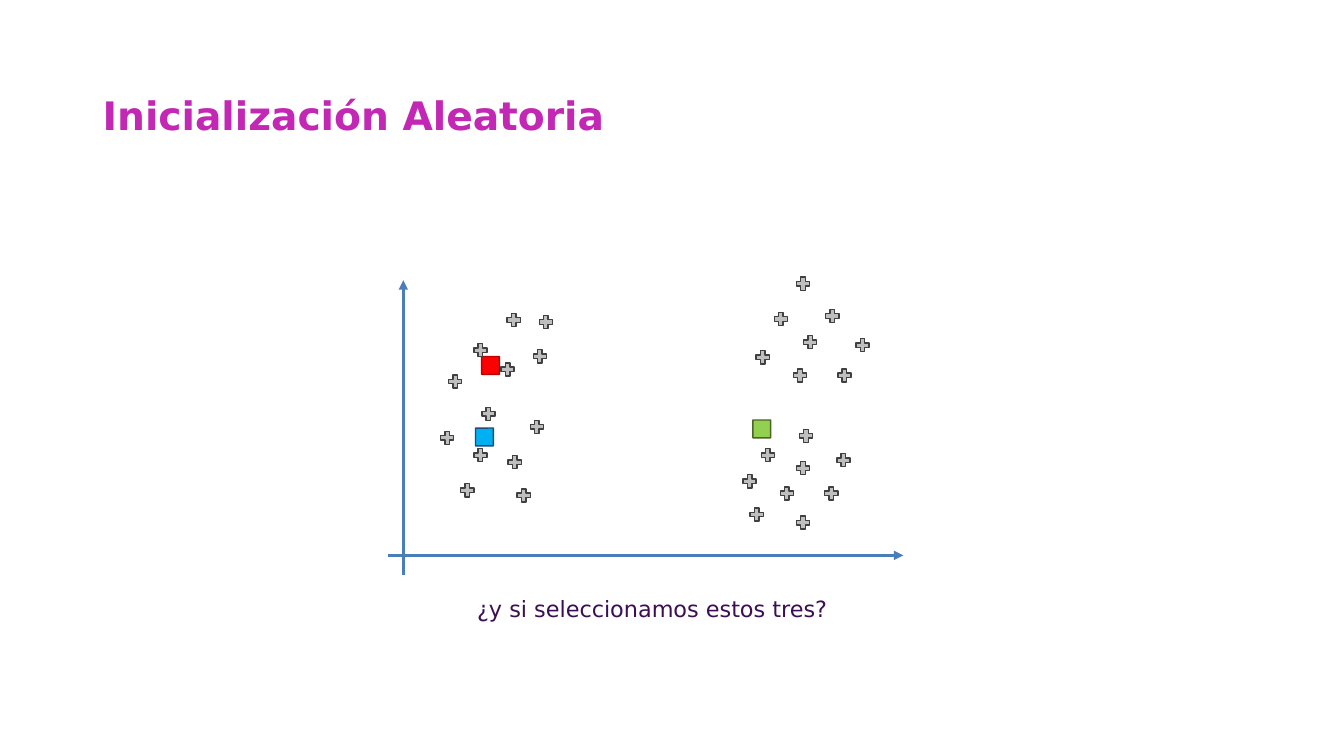
from dataclasses import dataclass

from pptx import Presentation
from pptx.dml.color import RGBColor
from pptx.enum.shapes import MSO_CONNECTOR, MSO_SHAPE
from pptx.enum.text import MSO_ANCHOR, MSO_AUTO_SIZE, PP_ALIGN
from pptx.oxml.ns import qn
from pptx.shapes.autoshape import Shape
from pptx.slide import Slide
from pptx.util import Inches, Pt
from lxml import etree

CROSS, DIAMOND = MSO_SHAPE.CROSS, MSO_SHAPE.DIAMOND
STRAIGHT = MSO_CONNECTOR.STRAIGHT
TOP, MIDDLE = MSO_ANCHOR.TOP, MSO_ANCHOR.MIDDLE
LEFT, CENTER = PP_ALIGN.LEFT, PP_ALIGN.CENTER
FIT, FIXED = MSO_AUTO_SIZE.SHAPE_TO_FIT_TEXT, MSO_AUTO_SIZE.NONE


@dataclass(frozen=True)
class Theme:
    font: str = "DejaVu Sans"
    title: str = "C228B4"
    note: str = "3C0F53"
    axis: str = "4A7EBB"
    point: str = "BFBFBF"
    edge: str = "404040"
    title_size: float = 28
    note_size: float = 16
    axis_width: float = 2.25
    edge_width: float = 1


@dataclass(frozen=True)
class Seed:
    x: float
    y: float
    fill: str
    line: str


@dataclass(frozen=True)
class Axis:
    x1: float
    y1: float
    x2: float
    y2: float


THEME = Theme()
POINT, SEED = 0.13, 0.25  # marker sizes

AXES = [Axis(4, 5.7, 4, 2.78), Axis(3.85, 5.51, 8.96, 5.51)]

# Starting centroids
BLUE = Seed(4.68, 4.21, "00B0F0", "1F497D")
RED = Seed(4.74, 3.5, "FF0000", "C00000")
GREEN = Seed(7.43, 4.13, "92D050", "4F6228")

# Left and top of every data point, by group
LOWER_LEFT = [(5.26, 4.17), (4.7, 4.45), (5.13, 4.85), (4.57, 4.8),
              (4.37, 4.28), (4.78, 4.04), (5.04, 4.52)]
UPPER_LEFT = [(4.45, 3.72), (4.97, 3.6), (4.7, 3.41), (5.29, 3.47),
              (5.35, 3.13), (5.03, 3.11)]
UPPER_RIGHT = [(7.9, 2.75), (8.19, 3.07), (7.68, 3.1), (7.97, 3.33),
               (8.49, 3.36), (7.87, 3.66), (8.31, 3.66), (7.5, 3.48)]
LOWER_RIGHT = [(7.37, 4.71), (7.55, 4.45), (7.74, 4.83), (7.44, 5.04),
               (7.9, 5.12), (8.18, 4.83), (7.9, 4.58), (8.3, 4.5),
               (7.93, 4.26)]


def add_text(slide: Slide, text: str, x: float, y: float, w: float, h: float,
             *, size: float, color: str, bold: bool = False, align=LEFT,
             anchor=TOP, pad: float = 0.05, space: float = 1.0,
             fit=FIXED) -> None:
    box = slide.shapes.add_textbox(Inches(x), Inches(y), Inches(w), Inches(h))
    frame = box.text_frame
    frame.word_wrap = True
    frame.auto_size = fit
    frame.vertical_anchor = anchor
    frame.margin_left = frame.margin_right = Inches(pad)
    frame.margin_top = frame.margin_bottom = Inches(0.05)
    para = frame.paragraphs[0]
    para.text = text
    para.alignment = align
    para.line_spacing = space
    para.font.name = THEME.font
    para.font.size = Pt(size)
    para.font.bold = bold
    para.font.color.rgb = RGBColor.from_string(color)


def add_mark(slide: Slide, kind: MSO_SHAPE, x: float, y: float, size: float,
             fill: str, line: str) -> Shape:
    mark = slide.shapes.add_shape(kind, Inches(x), Inches(y),
                                  Inches(size), Inches(size))
    mark.shadow.inherit = False
    mark.fill.solid()
    mark.fill.fore_color.rgb = RGBColor.from_string(fill)
    mark.line.color.rgb = RGBColor.from_string(line)
    mark.line.width = Pt(THEME.edge_width)
    return mark


def add_seed(slide: Slide, seed: Seed) -> None:
    mark = add_mark(slide, DIAMOND, seed.x, seed.y, SEED, seed.fill, seed.line)
    mark.rotation = 315


def add_point(slide: Slide, x: float, y: float) -> None:
    mark = add_mark(slide, CROSS, x, y, POINT, THEME.point, THEME.edge)
    mark.adjustments[0] = 0.33


def add_axis(slide: Slide, axis: Axis) -> None:
    line = slide.shapes.add_connector(
        STRAIGHT, Inches(axis.x1), Inches(axis.y1),
        Inches(axis.x2), Inches(axis.y2))
    line.line.color.rgb = RGBColor.from_string(THEME.axis)
    line.line.width = Pt(THEME.axis_width)
    props = line.line._get_or_add_ln()
    etree.SubElement(props, qn("a:tailEnd"), type="triangle")
    etree.SubElement(line._element.spPr, qn("a:effectLst"))


def main() -> None:
    deck = Presentation()
    deck.slide_width, deck.slide_height = Inches(13.33), Inches(7.5)
    slide = deck.slides.add_slide(deck.slide_layouts[6])

    # Title
    add_text(slide, "Inicialización Aleatoria", 0.92, 0.71, 11.5, 0.91,
             size=THEME.title_size, color=THEME.title, bold=True,
             anchor=MIDDLE, pad=0.1, space=0.9)

    # Scatter plot
    for seed in (BLUE, RED):
        add_seed(slide, seed)
    for axis in AXES:
        add_axis(slide, axis)
    for x, y in LOWER_LEFT + UPPER_LEFT + UPPER_RIGHT + LOWER_RIGHT:
        add_point(slide, x, y)
    add_seed(slide, GREEN)

    # Question below the plot
    add_text(slide, "¿y si seleccionamos estos tres?", 3.65, 5.86, 5.64, 0.37,
             size=THEME.note_size, color=THEME.note, align=CENTER, fit=FIT)

    deck.save("out.pptx")


if __name__ == "__main__":
    main()
